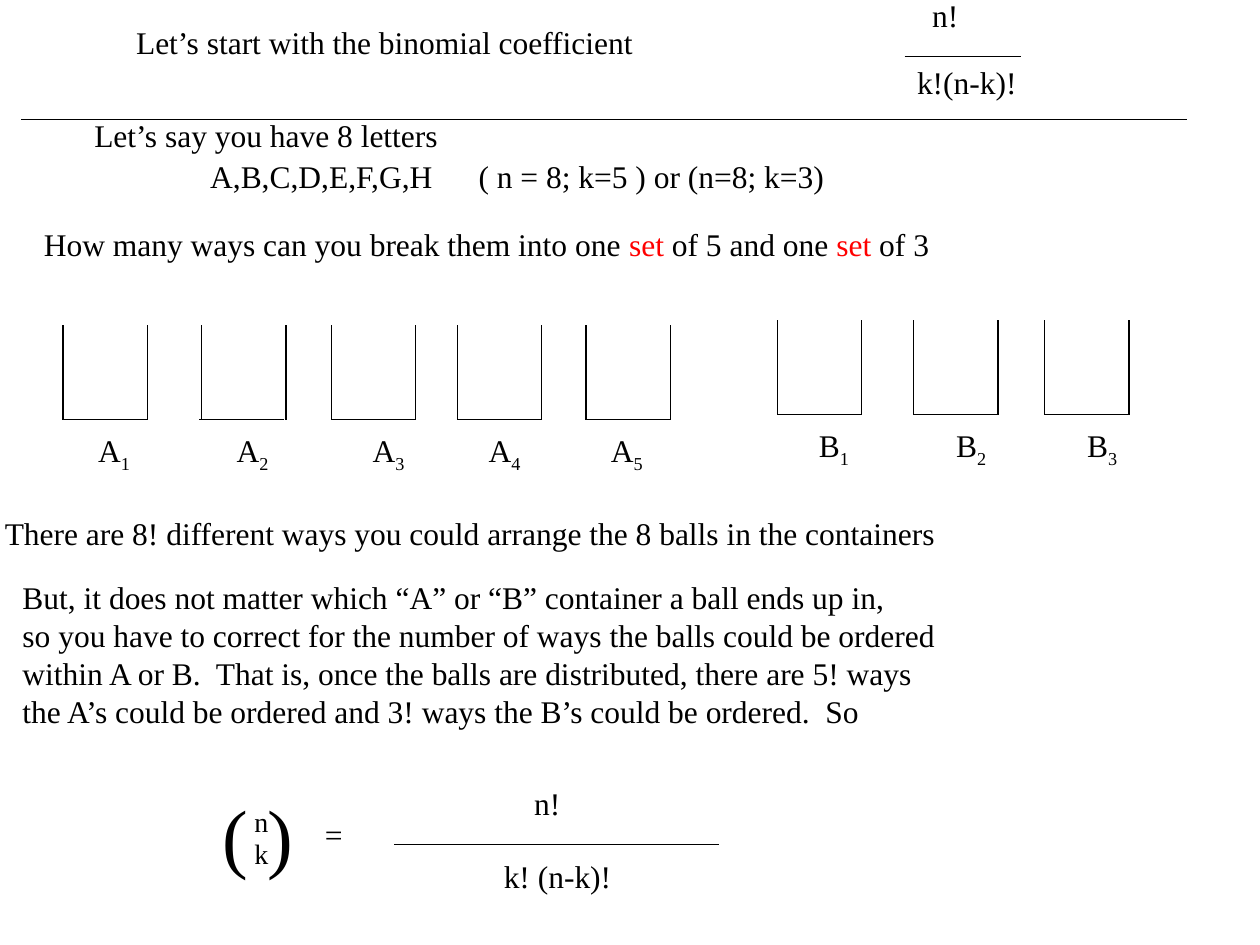
from lxml import etree
from pptx import Presentation
from pptx.dml.color import RGBColor
from pptx.enum import shapes, text
from pptx.oxml.ns import qn
from pptx.util import Inches, Pt

COLORS = {"ink": "000000", "accent": "FF0000"}
FONT = "Times New Roman"

TITLE = ("Let’s start with the binomial coefficient", (0.98, 0.13, 5.48, 0.5))

QUESTION = [
    ("How many ways can you break them into one ", "ink"),
    ("set", "accent"),
    (" of 5 and one ", "ink"),
    ("set", "accent"),
    (" of 3", "ink"),
]
LETTERS = "A,B,C,D,E,F,G,H\t( n = 8; k=5 ) or (n=8; k=3)"
LETTERS_TAB = 2.13
EXPLANATION = [
    "But, it does not matter which “A” or “B” container a ball ends up in,",
    "so you have to correct for the number of ways the balls could be ordered",
    "within A or B.  That is, once the balls are distributed, there are 5! ways",
    "the A’s could be ordered and 3! ways the B’s could be ordered.  So",
]

STATEMENTS = [
    (["n!"], (7.3, -0.08, 0.68, 0.5)),
    (["k!(n-k)!"], (7.18, 0.45, 1.26, 0.5)),
    (["Let’s say you have 8 letters"], (0.65, 0.87, 3.85, 0.5)),
    ([LETTERS], (1.57, 1.2, 6.86, 0.51)),
    ([QUESTION], (0.25, 1.74, 9.56, 0.51)),
    (["There are 8! different ways you could arrange the 8 balls in the containers"],
     (-0.06, 4.03, 10.14, 0.51)),
    (EXPLANATION, (0.08, 4.54, 9.95, 1.72)),
    (["="], (2.48, 6.42, 0.39, 0.5)),
    (["n!"], (4.14, 6.17, 0.51, 0.51)),
    (["k! (n-k)!"], (3.9, 6.75, 1.06, 0.4)),
]
BINOMIAL = [
    ("( )", 44, (1.67, 6.2, 0.76, 0.83)),
    ("n", 16, (1.92, 6.34, 0.31, 0.37)),
    ("k", 16, (1.92, 6.59, 0.31, 0.37)),
]
RULES = [
    (7.18, 0.45, 8.1, 0.45),
    (0.17, 0.95, 9.42, 0.95),
    (3.13, 6.7, 5.71, 6.7),
]

CONTAINER_WIDTH, CONTAINER_HEIGHT = 0.67, 0.75
CONTAINER_ROWS = [
    ("A", 2.58, [(0.5, 0.68), (1.6, 1.78), (2.63, 2.86), (3.63, 3.78), (4.65, 4.75)]),
    ("B", 2.54, [(6.17, 6.4), (7.25, 7.49), (8.29, 8.53)]),
]
FLOOR_SHIFTS = {"A2": -0.02}


def add_run(paragraph, content, size=18, color="ink", subscript=False):
    run = paragraph.add_run()
    run.text = content
    run.font.name = FONT
    run.font.size = Pt(size)
    run.font.color.rgb = RGBColor.from_string(COLORS[color])
    if subscript:
        run._r.get_or_add_rPr().set("baseline", "-25000")


def prepare_frame(shape):
    frame = shape.text_frame
    frame.word_wrap = False
    frame.auto_size = text.MSO_AUTO_SIZE.SHAPE_TO_FIT_TEXT
    frame.vertical_anchor = text.MSO_ANCHOR.TOP
    return frame


def add_text(parent, box, lines, size=18):
    frame = prepare_frame(parent.add_textbox(*map(Inches, box)))
    for index, line in enumerate(lines):
        paragraph = frame.add_paragraph() if index else frame.paragraphs[0]
        for content, color in [(line, "ink")] if isinstance(line, str) else line:
            add_run(paragraph, content, size, color)
    return frame


def add_tab_stop(paragraph, position):
    tabs = etree.SubElement(paragraph._p.get_or_add_pPr(), qn("a:tabLst"))
    etree.SubElement(tabs, qn("a:tab"), pos=str(Inches(position)), algn="l")


def add_line(parent, ends):
    line = parent.add_connector(shapes.MSO_CONNECTOR.STRAIGHT, *map(Inches, ends))
    line.line.color.rgb = RGBColor.from_string(COLORS["ink"])
    line.line.width = Pt(0.75)
    etree.SubElement(line._element.spPr, qn("a:effectLst"))


def add_container(slide, letter, number, left, top, label_left):
    group = slide.shapes.add_group_shape().shapes
    right, bottom = left + CONTAINER_WIDTH, top + CONTAINER_HEIGHT
    shift = FLOOR_SHIFTS.get(f"{letter}{number}", 0)
    add_line(group, (left, top, left, bottom))
    add_line(group, (left + shift, bottom, right + shift, bottom))
    add_line(group, (right, bottom, right, top))
    label = add_text(group, (label_left, bottom + 0.04, 0.56, 0.51), [letter])
    add_run(label.paragraphs[0], str(number), subscript=True)


def main():
    presentation = Presentation()
    presentation.slide_width, presentation.slide_height = Inches(10), Inches(7.5)
    slide = presentation.slides.add_slide(presentation.slide_layouts[5])

    title = slide.shapes.title
    content, box = TITLE
    title.left, title.top, title.width, title.height = map(Inches, box)
    paragraph = prepare_frame(title).paragraphs[0]
    paragraph.alignment = text.PP_ALIGN.LEFT
    add_run(paragraph, content)

    for lines, box in STATEMENTS:
        frame = add_text(slide.shapes, box, lines)
        if lines == [LETTERS]:
            add_tab_stop(frame.paragraphs[0], LETTERS_TAB)

    for ends in RULES:
        add_line(slide.shapes, ends)

    for letter, top, places in CONTAINER_ROWS:
        for number, (left, label_left) in enumerate(places, 1):
            add_container(slide, letter, number, left, top, label_left)

    binomial = slide.shapes.add_group_shape().shapes
    for content, size, box in BINOMIAL:
        add_text(binomial, box, [content], size)

    presentation.save("out.pptx")


if __name__ == "__main__":
    main()
